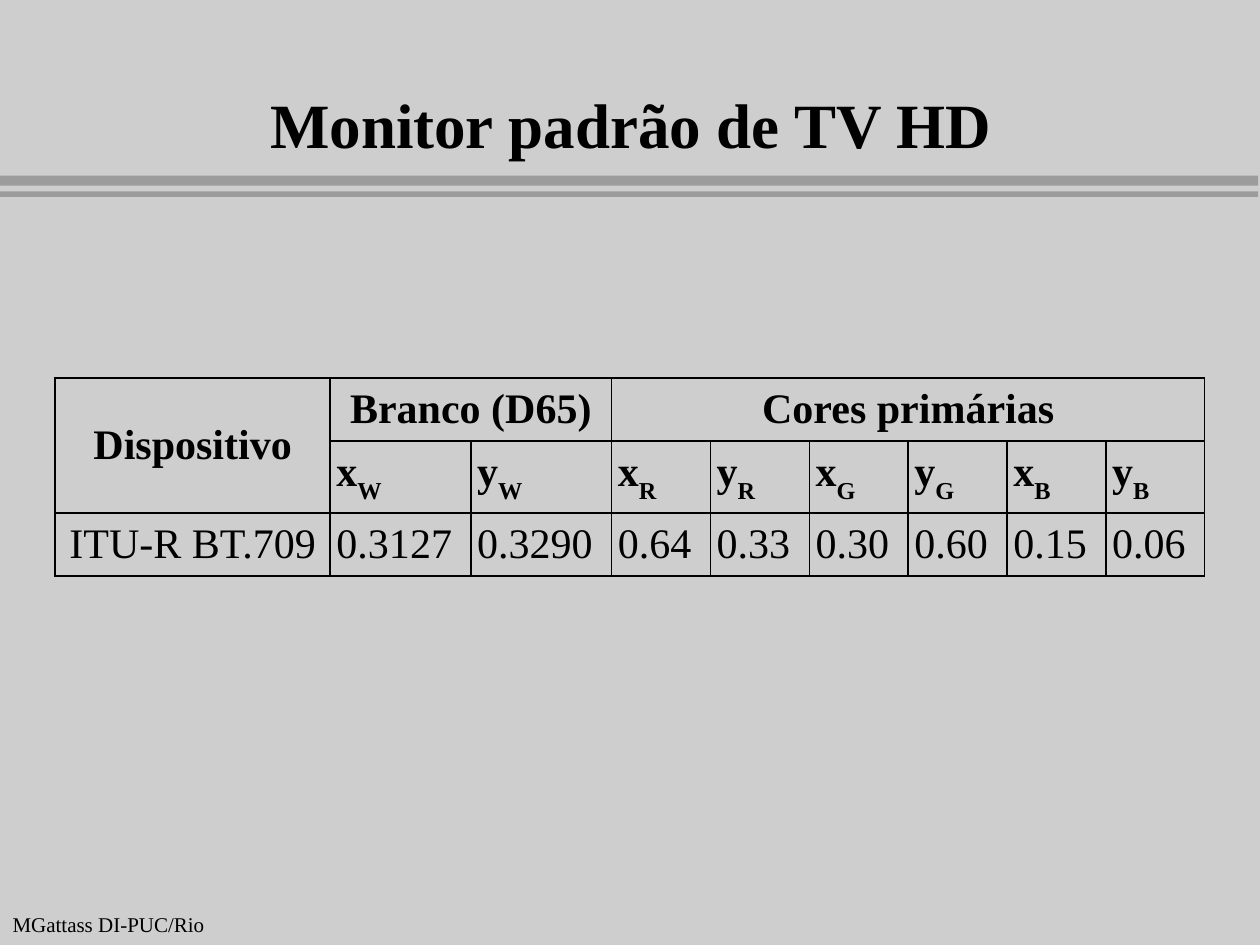
from lxml import etree
from pptx import Presentation
from pptx.dml.color import RGBColor
from pptx.enum.shapes import MSO_SHAPE
from pptx.enum.text import MSO_ANCHOR, PP_ALIGN
from pptx.oxml.ns import qn
from pptx.util import Pt

RECTANGLE = MSO_SHAPE.RECTANGLE
MIDDLE, BOTTOM = MSO_ANCHOR.MIDDLE, MSO_ANCHOR.BOTTOM
LEFT, CENTER = PP_ALIGN.LEFT, PP_ALIGN.CENTER

BLACK = RGBColor(0x00, 0x00, 0x00)
BACKGROUND = RGBColor(0xCE, 0xCE, 0xCE)
BAND = RGBColor(0x9C, 0x9C, 0x9C)
FONT = "Times New Roman"

COLUMN_WIDTHS = [157.2] + [80.4] * 2 + [56.5] * 6
ROW_HEIGHT = 36
HEADINGS = [  # row, column, last row, last column, text
    (0, 0, 1, 0, "Dispositivo"),
    (0, 1, 0, 2, "Branco (D65)"),
    (0, 3, 0, 8, "Cores primárias"),
]
DEVICE = "ITU-R BT.709"
COORDINATES = ["0.3127", "0.3290", "0.64", "0.33", "0.30", "0.60", "0.15", "0.06"]


def add_span(para, text, size, bold=False, baseline=None):
    span = para.add_run()
    span.text = text
    font = span.font
    font.name, font.size, font.bold = FONT, Pt(size), bold
    font.color.rgb = BLACK
    if baseline is not None:
        span._r.get_or_add_rPr().set("baseline", str(baseline))


def set_margins(target, margin):
    target.margin_left = target.margin_right = Pt(margin)
    target.margin_top = target.margin_bottom = Pt(margin)


def add_text(page, left, top, width, height, margin, anchor, wrap):
    """Add an empty text box and return its first paragraph."""
    box = page.shapes.add_textbox(Pt(left), Pt(top), Pt(width), Pt(height))
    frame = box.text_frame
    frame.word_wrap = wrap
    frame.vertical_anchor = anchor
    set_margins(frame, margin)
    return frame.paragraphs[0]


def add_title(page, left, top, width, height):
    para = add_text(page, left, top, width, height, 2.9, BOTTOM, True)
    para.alignment = CENTER
    para.line_spacing = 0.9
    add_span(para, "Monitor padrão de TV HD", 36, bold=True)


def add_footer(page, left, top, width, height):
    para = add_text(page, left, top, width, height, 3.6, MIDDLE, False)
    add_span(para, "MGattass DI-PUC/Rio", 12)


def add_bands(page, left, top, width):
    for offset, height in ((0, 5.7), (9, 3.2)):
        band = page.shapes.add_shape(
            RECTANGLE, Pt(left), Pt(top + offset), Pt(width), Pt(height))
        band.shadow.inherit = False
        band.fill.solid()
        band.fill.fore_color.rgb = BAND
        band.line.fill.background()


def style_cell(cell):
    properties = cell._tc.get_or_add_tcPr()
    for side in ("a:lnL", "a:lnR", "a:lnT", "a:lnB"):
        line = etree.SubElement(properties, qn(side), w=str(Pt(1)))
        fill = etree.SubElement(line, qn("a:solidFill"))
        etree.SubElement(fill, qn("a:srgbClr"), val=str(BLACK))
    cell.fill.background()
    cell.vertical_anchor = MIDDLE
    set_margins(cell, 3.6)


def write_cell(cell, text, alignment=LEFT, bold=False, subscript=""):
    para = cell.text_frame.paragraphs[0]
    para.alignment = alignment
    add_span(para, text, 24, bold)
    if subscript:
        add_span(para, subscript, 24, bold, baseline=-30000)


def add_chromaticity_table(page, left, top):
    frame = page.shapes.add_table(
        3, len(COLUMN_WIDTHS), Pt(left), Pt(top),
        Pt(sum(COLUMN_WIDTHS)), Pt(3 * ROW_HEIGHT))
    table = frame.table
    table.first_row = table.horz_banding = False
    for column, width in zip(table.columns, COLUMN_WIDTHS):
        column.width = Pt(width)
    for row in table.rows:
        row.height = Pt(ROW_HEIGHT)
    for cell in table.iter_cells():
        style_cell(cell)

    for row, column, last_row, last_column, text in HEADINGS:
        cell = table.cell(row, column)
        cell.merge(table.cell(last_row, last_column))
        write_cell(cell, text, CENTER, bold=True)
    symbols = [(axis, color) for color in "WRGB" for axis in "xy"]
    write_cell(table.cell(2, 0), DEVICE, CENTER)
    for column, ((axis, color), value) in enumerate(zip(symbols, COORDINATES), 1):
        write_cell(table.cell(1, column), axis, bold=True, subscript=color)
        write_cell(table.cell(2, column), value)


def main():
    deck = Presentation()
    deck.slide_width, deck.slide_height = Pt(720), Pt(540)
    page = deck.slides.add_slide(deck.slide_layouts[6])
    page.background.fill.solid()
    page.background.fill.fore_color.rgb = BACKGROUND
    add_bands(page, 0, 100.4, 719)
    add_footer(page, 3.6, 517, 118, 21.6)
    add_title(page, 78.5, 5.8, 563.8, 90)
    add_chromaticity_table(page, 31.5, 216)
    deck.save("out.pptx")


if __name__ == "__main__":
    main()
